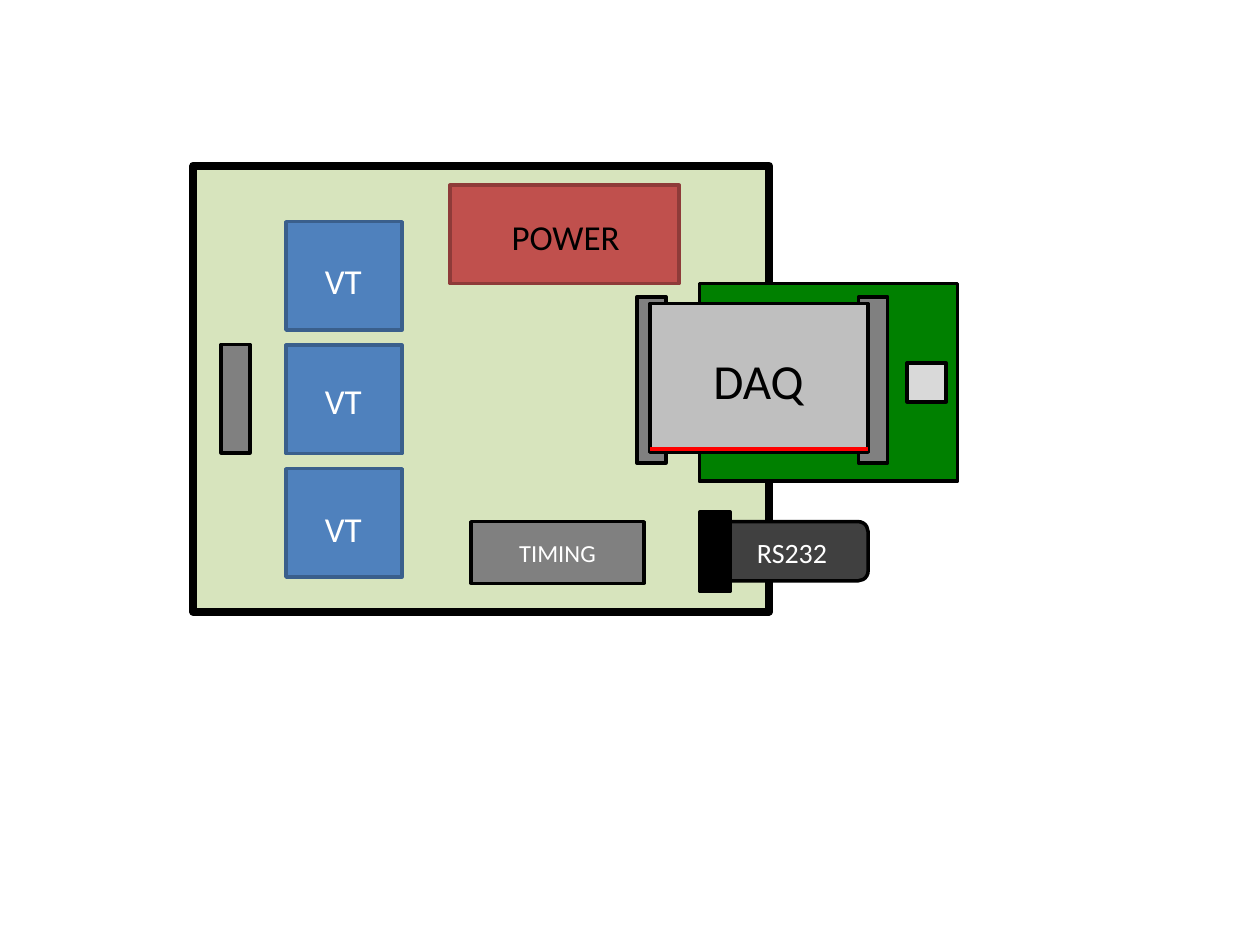
from lxml import etree
from pptx import Presentation
from pptx.dml.color import RGBColor
from pptx.enum.shapes import MSO_CONNECTOR, MSO_SHAPE
from pptx.enum.text import MSO_ANCHOR, PP_ALIGN
from pptx.oxml.ns import qn
from pptx.util import Inches, Pt

BLACK = RGBColor(0x00, 0x00, 0x00)
WHITE = RGBColor(0xFF, 0xFF, 0xFF)
BOARD_GREEN = RGBColor(0xD7, 0xE4, 0xBD)
CARD_GREEN = RGBColor(0x00, 0x80, 0x00)
BLUE = RGBColor(0x4F, 0x81, 0xBD)
BLUE_EDGE = RGBColor(0x3A, 0x5F, 0x8C)
POWER_RED = RGBColor(0xC0, 0x50, 0x4D)
POWER_EDGE = RGBColor(0x8E, 0x3B, 0x39)
STRIPE_RED = RGBColor(0xFF, 0x00, 0x00)
CHARCOAL = RGBColor(0x40, 0x40, 0x40)
GREY = RGBColor(0x80, 0x80, 0x80)
SILVER = RGBColor(0xBF, 0xBF, 0xBF)
PALE_GREY = RGBColor(0xD9, 0xD9, 0xD9)

FONT = "Calibri"
COLUMNS = 100
prs = Presentation()
prs.slide_width, prs.slide_height = Inches(10), Inches(7.5)
CELL = prs.slide_width / COLUMNS


def place(box, *cells):
    """Turn left, top, width, height in cells of a region into lengths."""
    left, top, width, height = cells
    return [round(n * CELL) for n in (box[0] + left, box[1] + top, width, height)]


def write(frame, text, size, color, align=PP_ALIGN.CENTER):
    """Put one styled line of text into a text frame."""
    paragraph = frame.paragraphs[0]
    paragraph.alignment = align
    run = paragraph.add_run()
    run.text = text
    run.font.name, run.font.size = FONT, Pt(size)
    run.font.color.rgb = color


def block(slide, box, cells, fill, edge=BLACK, width=2, kind=MSO_SHAPE.RECTANGLE):
    """Draw a filled, outlined shape with rounded line joins."""
    shape = slide.shapes.add_shape(kind, *place(box, *cells))
    shape.shadow.inherit = False
    shape.fill.solid()
    shape.fill.fore_color.rgb = fill
    shape.line.color.rgb = edge
    shape.line.width = Pt(width)
    outline = shape._element.spPr.find(qn("a:ln"))
    etree.SubElement(outline, qn("a:round"))
    return shape


def label(slide, box, cells, text, size, color, align=PP_ALIGN.CENTER):
    """Add a free-standing, one-line text box."""
    frame = slide.shapes.add_textbox(*place(box, *cells)).text_frame
    frame.word_wrap = False
    write(frame, text, size, color, align)


def draw_board(slide, box):
    """Draw the main board with its VT, power and timing parts."""
    block(slide, box, (0, 0, 45.7, 35.4), BOARD_GREEN, width=4.5)
    block(slide, box, (2.2, 14.2, 2.3, 8.6), GREY)
    for row, text_top in enumerate((6.95, 16.45, 26.65)):
        block(slide, box, (7.35, 4.45 + 9.8 * row, 9.2, 8.6), BLUE, BLUE_EDGE)
        label(slide, box, (9.45, text_top, 5.5, 4.4), "VT", 20, WHITE, PP_ALIGN.LEFT)
    block(slide, box, (20.35, 1.55, 18.2, 7.8), POWER_RED, POWER_EDGE)
    label(slide, box, (22.05, 3.45, 15, 4.4), "POWER", 20, BLACK)
    timing = block(slide, box, (22.05, 28.25, 13.7, 4.9), GREY).text_frame
    timing.vertical_anchor = MSO_ANCHOR.MIDDLE
    write(timing, "TIMING", 14, WHITE)


def draw_serial_port(slide, box):
    """Draw the RS232 plug and its body."""
    block(slide, box, (1.55, 0.75, 11.8, 4.7), CHARCOAL, kind=MSO_SHAPE.ROUNDED_RECTANGLE)
    block(slide, box, (0, 0, 2.4, 6.3), BLACK)
    label(slide, box, (3.55, 1.35, 8.7, 3.7), "RS232", 16, WHITE, PP_ALIGN.LEFT)


def draw_daq(slide, box):
    """Draw the DAQ module held by two connectors over its green card."""
    block(slide, box, (4.95, 0, 20.5, 15.7), CARD_GREEN)
    for left in (0, 17.6):
        block(slide, box, (left, 1.05, 2.3, 13.2), GREY)
    block(slide, box, (1.05, 1.6, 17.3, 11.8), SILVER)
    left, top, width, _ = place(box, 1.05, 13.1, 17.3, 0)
    stripe = slide.shapes.add_connector(MSO_CONNECTOR.STRAIGHT, left, top, left + width, top)
    stripe.line.color.rgb = STRIPE_RED
    stripe.line.width = Pt(2.25)
    etree.SubElement(stripe._element.spPr, qn("a:effectLst"))
    label(slide, box, (2.55, 4.8, 14.2, 5.7), "DAQ", 28, BLACK)
    block(slide, box, (21.45, 6.3, 3.1, 3.1), PALE_GREY)


slide = prs.slides.add_slide(prs.slide_layouts[6])
draw_board(slide, (15.35, 13.15))
draw_serial_port(slide, (55.55, 40.65))
draw_daq(slide, (50.55, 22.5))
prs.save("out.pptx")
